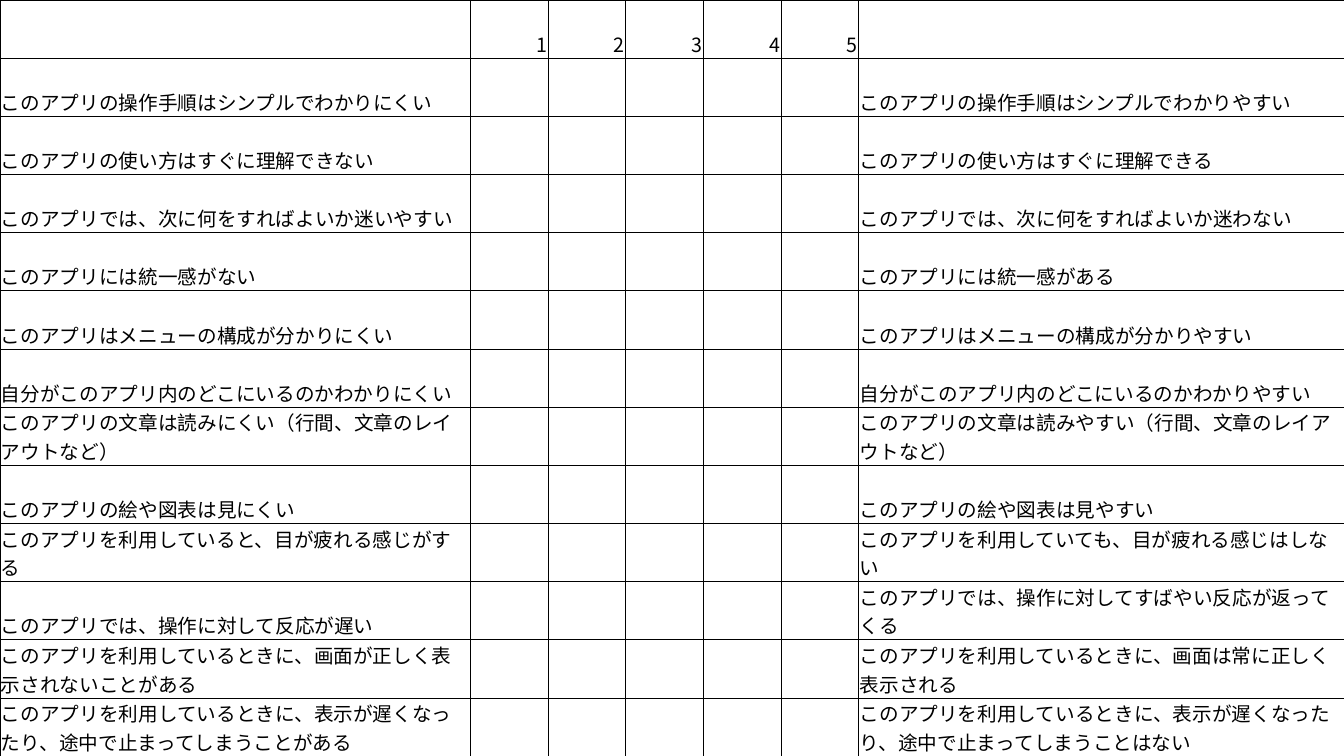
from lxml import etree
from pptx import Presentation
from pptx import util as u
from pptx.dml.color import RGBColor
from pptx.enum import text
from pptx.oxml import ns

COLORS = {"ink": "000000", "paper": "FFFFFF"}
FONT = "Noto Sans CJK JP"
SCALE = ["1", "2", "3", "4", "5"]
STATEMENTS = [
    ("このアプリの操作手順はシンプルでわかりにくい",
     "このアプリの操作手順はシンプルでわかりやすい"),
    ("このアプリの使い方はすぐに理解できない",
     "このアプリの使い方はすぐに理解できる"),
    ("このアプリでは、次に何をすればよいか迷いやすい",
     "このアプリでは、次に何をすればよいか迷わない"),
    ("このアプリには統一感がない",
     "このアプリには統一感がある"),
    ("このアプリはメニューの構成が分かりにくい",
     "このアプリはメニューの構成が分かりやすい"),
    ("自分がこのアプリ内のどこにいるのかわかりにくい",
     "自分がこのアプリ内のどこにいるのかわかりやすい"),
    ("このアプリの文章は読みにくい（行間、文章のレイアウトなど）",
     "このアプリの文章は読みやすい（行間、文章のレイアウトなど）"),
    ("このアプリの絵や図表は見にくい",
     "このアプリの絵や図表は見やすい"),
    ("このアプリを利用していると、目が疲れる感じがする",
     "このアプリを利用していても、目が疲れる感じはしない"),
    ("このアプリでは、操作に対して反応が遅い",
     "このアプリでは、操作に対してすばやい反応が返ってくる"),
    ("このアプリを利用しているときに、画面が正しく表示されないことがある",
     "このアプリを利用しているときに、画面は常に正しく表示される"),
    ("このアプリを利用しているときに、表示が遅くなったり、途中で止まってしまうことがある",
     "このアプリを利用しているときに、表示が遅くなったり、途中で止まってしまうことはない"),
]


def write(cell, words, size=14, color="ink", align=text.PP_ALIGN.LEFT):
    """Put words at the bottom of a cell in the given format."""
    cell.vertical_anchor = text.MSO_ANCHOR.BOTTOM
    cell.margin_left = cell.margin_right = cell.margin_top = u.Inches(0.01)
    cell.margin_bottom = 0
    p = cell.text_frame.paragraphs[0]
    p.alignment = align
    r = p.add_run()
    r.text = words
    r.font.size = u.Pt(size)
    r.font.name = FONT
    r.font.color.rgb = RGBColor.from_string(COLORS[color])
    etree.SubElement(r.font._element, ns.qn("a:ea"), typeface=FONT)


def frame(cell, color="ink", width=0.5):
    """Fill a cell with paper and draw its four borders."""
    cell.fill.solid()
    cell.fill.fore_color.rgb = RGBColor.from_string(COLORS["paper"])
    tc_pr = cell._tc.get_or_add_tcPr()
    for i, side in enumerate("LRTB"):
        ln = etree.Element(ns.qn(f"a:ln{side}"), w=str(u.Pt(width)))
        fill = etree.SubElement(ln, ns.qn("a:solidFill"))
        etree.SubElement(fill, ns.qn("a:srgbClr"), val=COLORS[color])
        tc_pr.insert(i, ln)


prs = Presentation()
prs.slide_width, prs.slide_height = W, H = u.Inches(13.33), u.Inches(7.5)
s = prs.slides.add_slide(prs.slide_layouts[6])

rows = [["", *SCALE, ""]]
rows += [[negative, *[""] * len(SCALE), positive] for negative, positive in STATEMENTS]
shares = [0.35, *[0.0578] * len(SCALE), 0.361]

table = s.shapes.add_table(len(rows), len(shares), 0, 0, W, H).table
table.first_row = table.horz_banding = False
for column, share in zip(table.columns, shares):
    column.width = int(W * share)
for row, entries in zip(table.rows, rows):
    row.height = H // len(rows)
    for cell, words in zip(row.cells, entries):
        frame(cell)
        if words in SCALE:
            write(cell, words, align=text.PP_ALIGN.RIGHT)
        elif words:
            write(cell, words)

prs.save("out.pptx")
